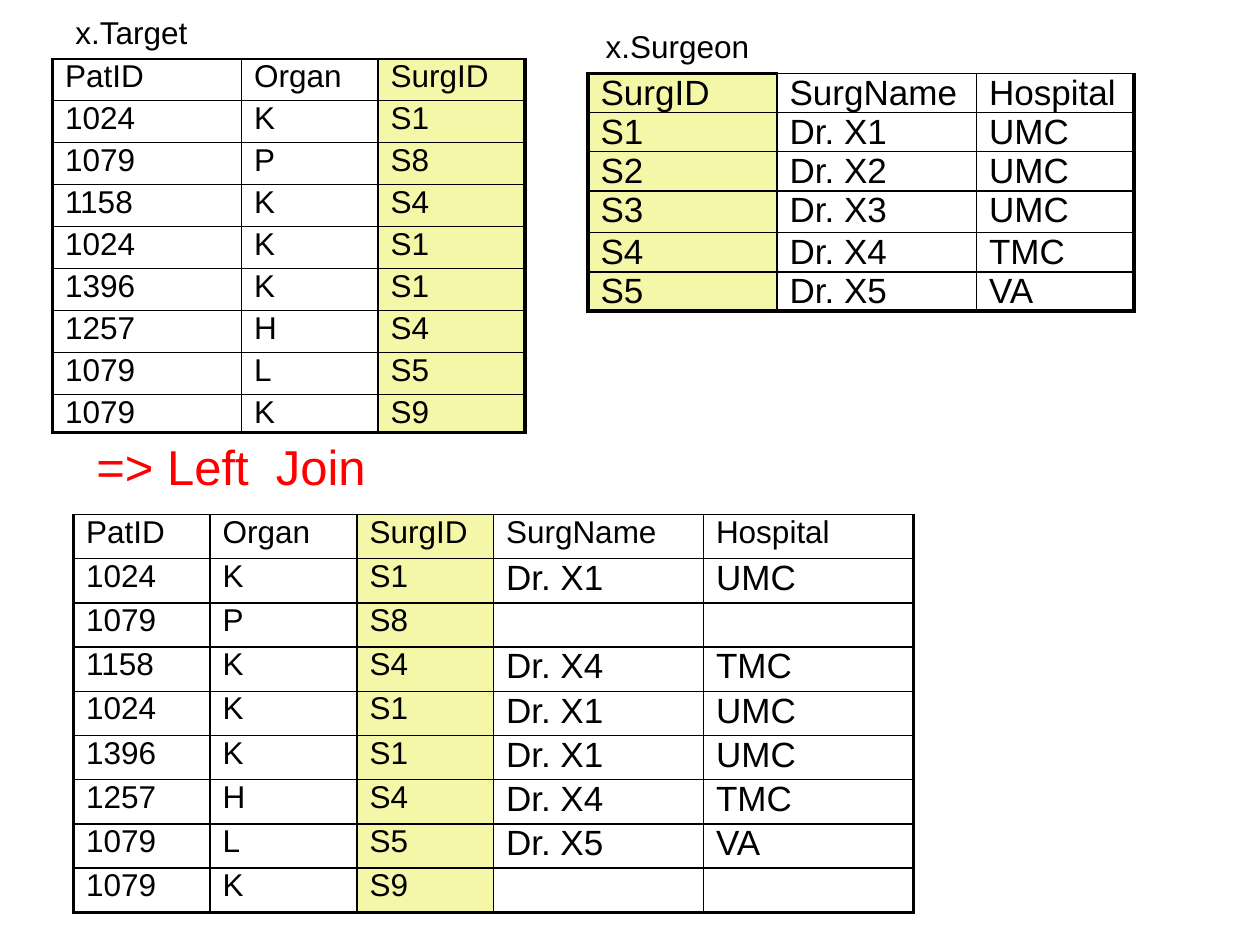
from lxml import etree
from pptx import Presentation
from pptx import util as u
from pptx.dml.color import RGBColor
from pptx.enum import text
from pptx.oxml import ns

BLACK = RGBColor(0x00, 0x00, 0x00)
WHITE = RGBColor(0xFF, 0xFF, 0xFF)
RED = RGBColor(0xFF, 0x00, 0x00)
KEY_YELLOW = RGBColor(0xF4, 0xF6, 0xA8)
FONT = "Arial"
KEY = "SurgID"
SMALL, LARGE = 18, 20
THIN, THICK = 1, 2.25

deck = Presentation()
deck.slide_width, deck.slide_height = u.Inches(10), u.Inches(7.5)
page = deck.slides.add_slide(deck.slide_layouts[6])

# Grid of 120 columns by 90 rows
GRID = deck.slide_width / 120


def grid(cells):
    return u.Emu(round(cells * GRID))


def add_run(para, words, size, color):
    span = para.add_run()
    span.text = words
    span.font.name, span.font.size = FONT, u.Pt(size)
    span.font.color.rgb = color


# Data: the third table is the left join of the first two
target = [
    ["PatID", "Organ", "SurgID"],
    ["1024", "K", "S1"],
    ["1079", "P", "S8"],
    ["1158", "K", "S4"],
    ["1024", "K", "S1"],
    ["1396", "K", "S1"],
    ["1257", "H", "S4"],
    ["1079", "L", "S5"],
    ["1079", "K", "S9"],
]
surgeon = [
    ["SurgID", "SurgName", "Hospital"],
    ["S1", "Dr. X1", "UMC"],
    ["S2", "Dr. X2", "UMC"],
    ["S3", "Dr. X3", "UMC"],
    ["S4", "Dr. X4", "TMC"],
    ["S5", "Dr. X5", "VA"],
]
details = {row[0]: row[1:] for row in surgeon}
joined = [row + details.get(row[-1], ["", ""]) for row in target]

# Tables: rows, left, top, frame height, column widths, row heights,
# and the (row, column) from which the large unfilled text starts
tables = [
    (target, 5, 5.6, 35.6, [18, 13, 14], [4] * 8 + [3.6], (9, 3)),
    (surgeon, 56, 7, 24, [18, 19, 15], [2.2, 2.6, 2.6, 4, 2.6, 2.5], (0, 0)),
    (joined, 7, 49, 37.9, [13, 14, 13, 20, 20], [4.21] * 9, (1, 3)),
]
for rows, left, top, height, widths, heights, (large_row, large_col) in tables:
    frame = page.shapes.add_table(len(rows), len(widths), grid(left), grid(top),
                                  grid(sum(widths)), grid(height))
    table = frame.table
    table.first_row = table.horz_banding = False
    for column, width in zip(table.columns, widths):
        column.width = grid(width)
    for line, row_height in zip(table.rows, heights):
        line.height = grid(row_height)
    frame.height = grid(height)

    for r, row in enumerate(rows):
        for c, words in enumerate(row):
            cell = table.cell(r, c)
            large = r >= large_row and c >= large_col
            is_key = rows[0][c] == KEY

            # Margins and text
            cell.margin_left = cell.margin_right = u.Inches(0.1)
            cell.margin_top = cell.margin_bottom = 0
            para = cell.text_frame.paragraphs[0]
            if words:
                before = etree.SubElement(para._p.get_or_add_pPr(), ns.qn("a:spcBef"))
                etree.SubElement(before, ns.qn("a:spcPct"), val="20000")
                add_run(para, words, LARGE if large else SMALL, BLACK)

            # Borders: thick on the outside, thin inside
            thick_sides = {
                "L": c == 0,
                "R": c == len(row) - 1,
                "T": rows is surgeon and r == c == 0,
                "B": r == len(rows) - 1,
            }
            props = cell._tc.get_or_add_tcPr()
            for side, thick in thick_sides.items():
                border = etree.SubElement(props, ns.qn("a:ln" + side),
                                          w=str(u.Pt(THICK if thick else THIN)))
                solid = etree.SubElement(border, ns.qn("a:solidFill"))
                etree.SubElement(solid, ns.qn("a:srgbClr"), val=str(BLACK))

            # Fill: the join key is highlighted
            if large and not is_key:
                cell.fill.background()
            else:
                cell.fill.solid()
                cell.fill.fore_color.rgb = KEY_YELLOW if is_key else WHITE

# Labels
labels = [
    ("=> Left  Join", 8, 41, 28.1, 6.8, 28, RED),
    ("x.Target", 6, 0.7, 13.2, 4.8, SMALL, BLACK),
    ("x.Surgeon", 56.5, 2, 16.2, 4.8, SMALL, BLACK),
]
for words, left, top, width, height, size, color in labels:
    box = page.shapes.add_textbox(grid(left), grid(top), grid(width), grid(height))
    box.text_frame.word_wrap = False
    box.text_frame.auto_size = text.MSO_AUTO_SIZE.SHAPE_TO_FIT_TEXT
    add_run(box.text_frame.paragraphs[0], words, size, color)

deck.save("out.pptx")
